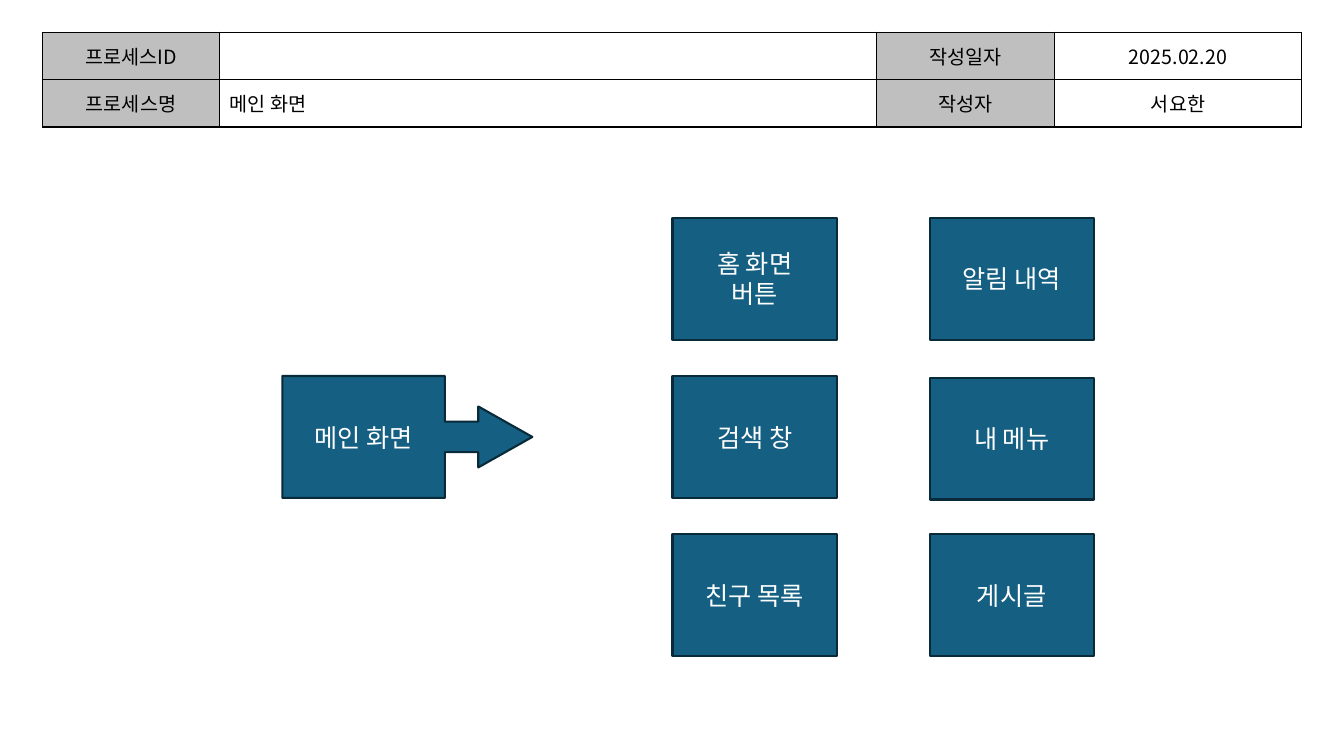
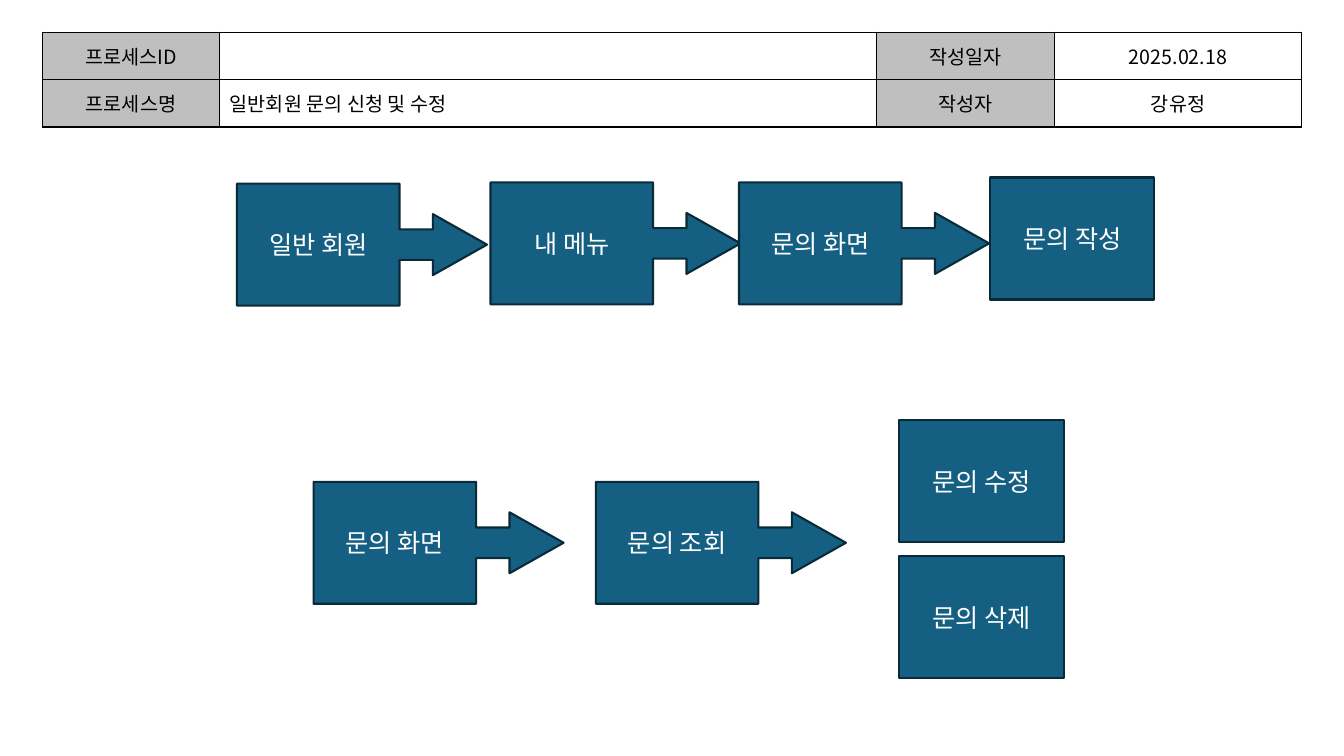
"""Build two process-flow pages that share a document header table."""
from dataclasses import dataclass

from lxml.etree import SubElement
from pptx import Presentation
from pptx.dml.color import RGBColor
from pptx.enum.shapes import MSO_SHAPE
from pptx.enum.text import MSO_ANCHOR, PP_ALIGN
from pptx.oxml.ns import qn
from pptx.slide import Slide
from pptx.table import _Cell
from pptx.text.text import _Paragraph
from pptx.util import Inches, Pt

BLACK = RGBColor(0x00, 0x00, 0x00)
WHITE = RGBColor(0xFF, 0xFF, 0xFF)
LABEL_GRAY = RGBColor(0xBF, 0xBF, 0xBF)
NODE_BLUE = RGBColor(0x15, 0x60, 0x82)
NODE_EDGE = RGBColor(0x09, 0x2A, 0x39)
FONT = "Noto Sans CJK KR"

SLIDE_WIDTH, SLIDE_HEIGHT = 13.33, 7.5
TABLE_LEFT, TABLE_TOP = 0.42, 0.32
TABLE_COLUMNS = (1.76, 6.51, 1.77, 2.45)
TABLE_ROWS = (0.47, 0.47, 5.88)
BODY_ROW = 2
LABEL_COLUMNS = (0, 2)
NAME_COLUMN = 1
BORDER_EDGES = ("lnL", "lnR", "lnT", "lnB")

NODE_HEIGHT = 1.21
BOX_WIDTH = 1.63
ARROW_WIDTH = 2.48
ARROW_ADJUSTMENTS = (0.25, 0.25, 0.443, 0.65)


@dataclass(frozen=True)
class Node:
    """A step placed by column and row of its grid."""
    text: str
    column: float = 0
    row: float = 0
    arrow: bool = False


@dataclass(frozen=True)
class Grid:
    """Nodes that share a starting corner and spacing, in inches."""
    left: float
    top: float
    column_step: float
    row_step: float
    nodes: tuple[Node, ...]


@dataclass(frozen=True)
class Process:
    """The header values and flow of one page."""
    name: str
    date: str
    author: str
    grids: tuple[Grid, ...]


PROCESSES = (
    Process("메인 화면", "2025.02.20", "서요한", (
        Grid(2.8, 3.73, 0, 0, (Node("메인 화면", arrow=True),)),
        Grid(6.67, 2.16, 2.55, 1.57, (
            Node("홈 화면\n버튼", 0, 0),
            Node("검색 창", 0, 1),
            Node("친구 목록", 0, 2),
            Node("알림 내역", 1, 0),
            Node("내 메뉴", 1, 1.01),
            Node("게시글", 1, 2),
        )),
    )),
    Process("일반회원 문의 신청 및 수정", "2025.02.18", "강유정", (
        Grid(2.35, 1.81, 2.49, NODE_HEIGHT, (
            Node("일반 회원", 0, 0.01, arrow=True),
            Node("내 메뉴", 1.01, arrow=True),
            Node("문의 화면", 2, arrow=True),
            Node("문의 작성", 3, -0.04),
        )),
        Grid(3.11, 4.78, 2.8, 0, (
            Node("문의 화면", 0, arrow=True),
            Node("문의 조회", 1, arrow=True),
        )),
        Grid(8.92, 4.17, 0, 1.35, (
            Node("문의 수정", row=0),
            Node("문의 삭제", row=1),
        )),
    )),
)


def add_span(para: _Paragraph, text: str, size: int, color: RGBColor) -> None:
    """Add one run in the shared Latin and East Asian font."""
    span = para.add_run()
    span.text = text
    span.font.size = Pt(size)
    span.font.color.rgb = color
    span.font.name = FONT
    SubElement(span.font._element, qn("a:ea"), typeface=FONT)


def set_borders(cell: _Cell, visible: tuple[str, ...]) -> None:
    """Draw the visible edges in black and clear the others."""
    properties = cell._tc.get_or_add_tcPr()
    for edge in BORDER_EDGES:
        line = SubElement(properties, qn(f"a:{edge}"), w=str(Pt(1)))
        if edge in visible:
            fill = SubElement(line, qn("a:solidFill"))
            SubElement(fill, qn("a:srgbClr"), val=str(BLACK))
        else:
            SubElement(line, qn("a:noFill"))


def add_header(page: Slide, process: Process) -> None:
    """Add the document table with its labels and values."""
    texts = (
        ("프로세스ID", "", "작성일자", process.date),
        ("프로세스명", process.name, "작성자", process.author),
        ("",) * len(TABLE_COLUMNS),
    )
    table = page.shapes.add_table(
        len(TABLE_ROWS), len(TABLE_COLUMNS),
        Inches(TABLE_LEFT), Inches(TABLE_TOP),
        Inches(sum(TABLE_COLUMNS)), Inches(sum(TABLE_ROWS)),
    ).table
    table.first_row = table.horz_banding = False
    for column, width in zip(table.columns, TABLE_COLUMNS):
        column.width = Inches(width)
    for row, height in zip(table.rows, TABLE_ROWS):
        row.height = Inches(height)
    for row_index, row_texts in enumerate(texts):
        is_body = row_index == BODY_ROW
        for column_index, text in enumerate(row_texts):
            cell = table.cell(row_index, column_index)
            set_borders(cell, ("lnT",) if is_body else BORDER_EDGES)
            if column_index in LABEL_COLUMNS and not is_body:
                cell.fill.solid()
                cell.fill.fore_color.rgb = LABEL_GRAY
            else:
                cell.fill.background()
            cell.vertical_anchor = MSO_ANCHOR.MIDDLE
            if text:
                para = cell.text_frame.paragraphs[0]
                if column_index != NAME_COLUMN:
                    para.alignment = PP_ALIGN.CENTER
                add_span(para, text, 14, BLACK)
    table.cell(BODY_ROW, 0).merge(table.cell(BODY_ROW, len(TABLE_COLUMNS) - 1))


def add_node(page: Slide, grid: Grid, node: Node) -> None:
    """Add a process box or an arrow callout at its grid position."""
    box = page.shapes.add_shape(
        MSO_SHAPE.RIGHT_ARROW_CALLOUT if node.arrow else MSO_SHAPE.FLOWCHART_PROCESS,
        Inches(grid.left + node.column * grid.column_step),
        Inches(grid.top + node.row * grid.row_step),
        Inches(ARROW_WIDTH if node.arrow else BOX_WIDTH),
        Inches(NODE_HEIGHT),
    )
    if node.arrow:
        for index, value in enumerate(ARROW_ADJUSTMENTS):
            box.adjustments[index] = value
    box.shadow.inherit = False
    box.fill.solid()
    box.fill.fore_color.rgb = NODE_BLUE
    box.line.color.rgb = NODE_EDGE
    box.line.width = Pt(1.5)
    frame = box.text_frame
    frame.word_wrap = True
    frame.vertical_anchor = MSO_ANCHOR.MIDDLE
    for index, text in enumerate(node.text.split("\n")):
        para = frame.add_paragraph() if index else frame.paragraphs[0]
        para.alignment = PP_ALIGN.CENTER
        add_span(para, text, 18, WHITE)


def main() -> None:
    """Build and save the deck."""
    deck = Presentation()
    deck.slide_width = Inches(SLIDE_WIDTH)
    deck.slide_height = Inches(SLIDE_HEIGHT)
    blank = deck.slide_layouts[6]
    for process in PROCESSES:
        page = deck.slides.add_slide(blank)
        add_header(page, process)
        for grid in process.grids:
            for node in grid.nodes:
                add_node(page, grid, node)
    deck.save("out.pptx")


if __name__ == "__main__":
    main()
